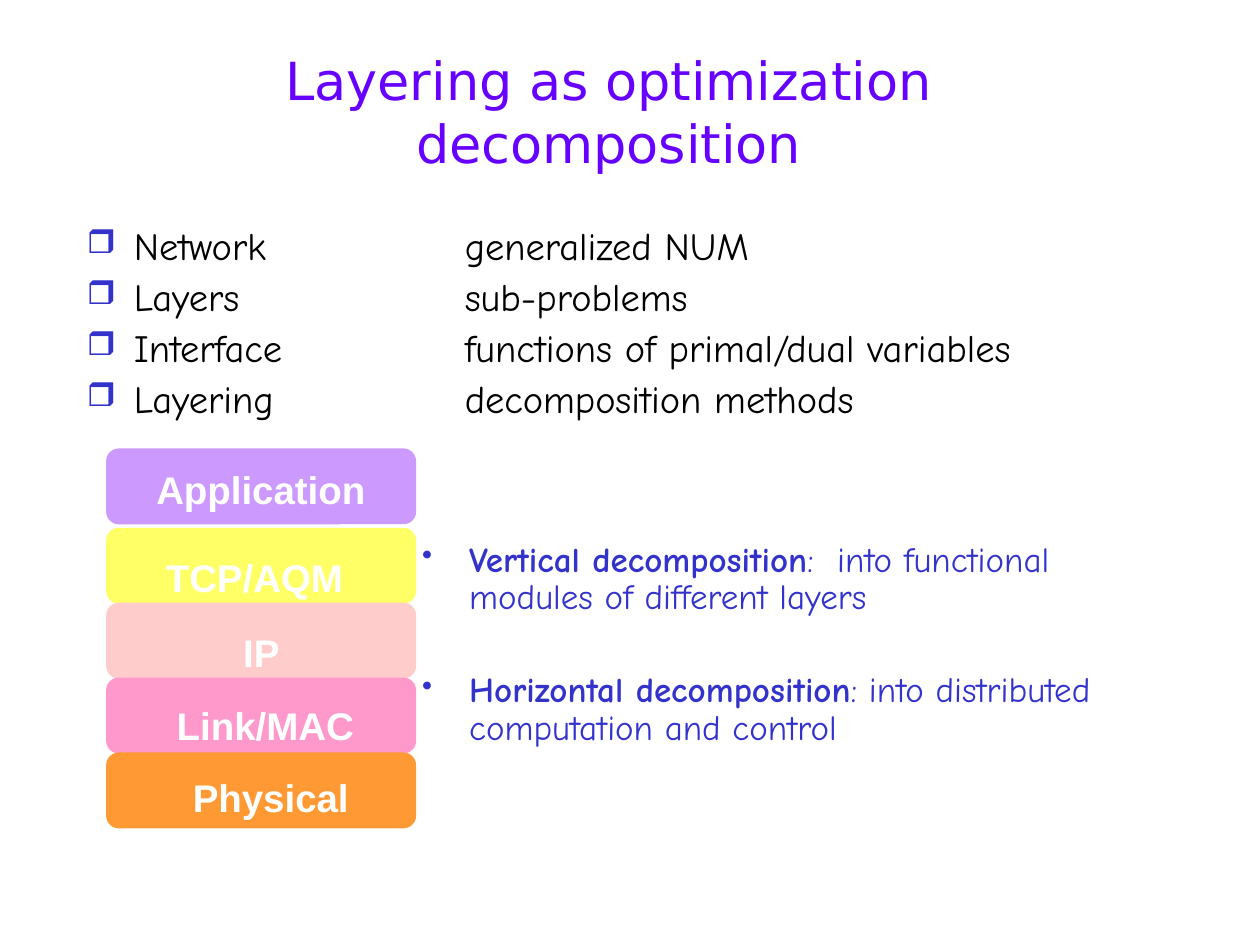
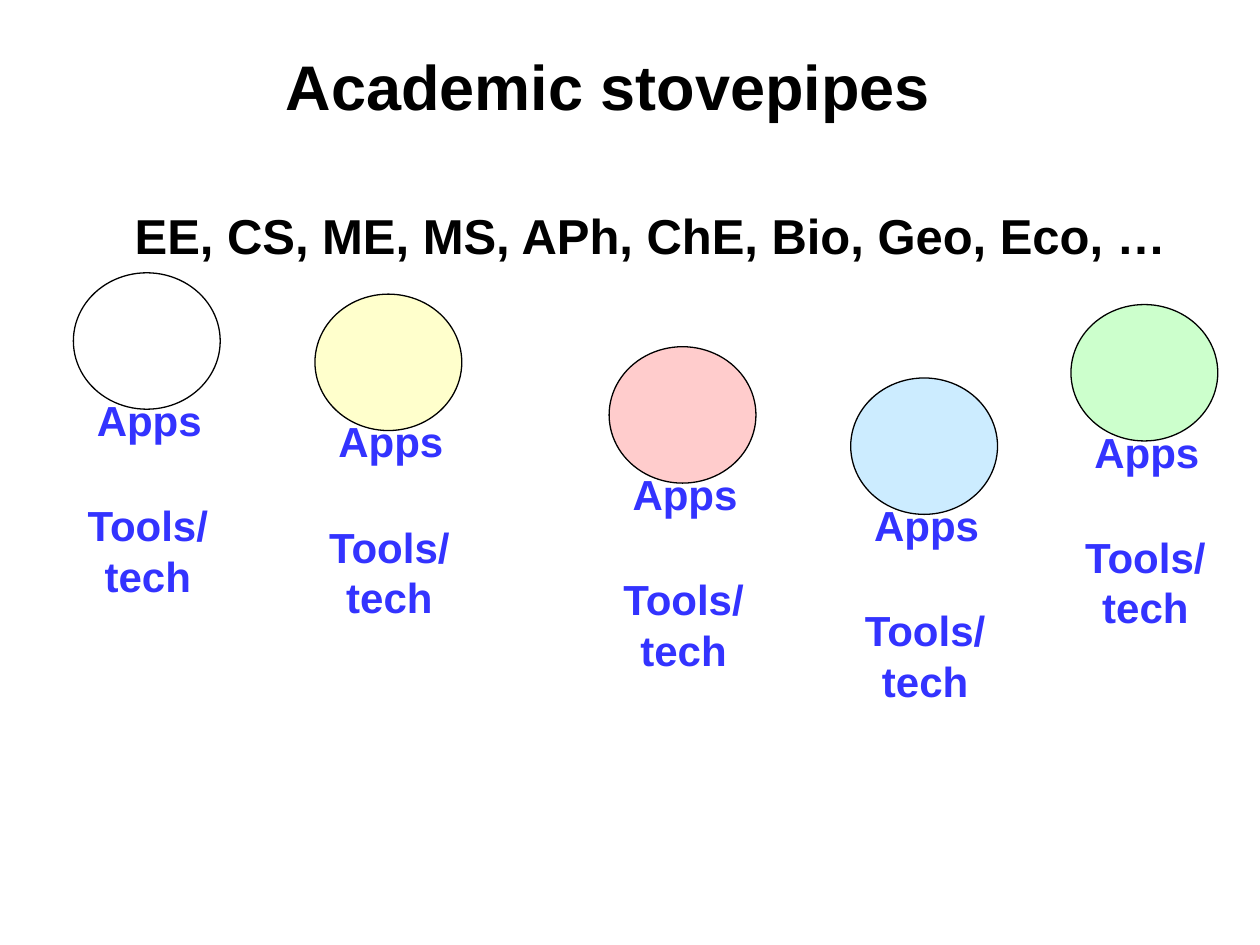
import pptx
import pptx.dml.color
import pptx.enum.shapes
import pptx.enum.text
import pptx.oxml.ns
import pptx.util
from lxml import etree
from pptx.util import Cm

COLORS = {
    "black": "000000", "white": "FFFFFF", "violet": "6600FF",
    "indigo": "3333CC", "blue": "3333FF", "lilac": "CC99FF",
    "yellow": "FFFF66", "rose": "FFCCCC", "pink": "FF99CC",
    "orange": "FF9933", "cream": "FFFFCC", "sky": "CCECFF", "mint": "CCFFCC",
}
HAND_FONT = "Comic Neue"
PLAIN_FONT = "Arial"
SHAPES = pptx.enum.shapes.MSO_SHAPE
ALIGN = pptx.enum.text.PP_ALIGN
ANCHOR = pptx.enum.text.MSO_ANCHOR

LINE_SPACING = 0.9
LAYER_LEFT, LAYER_WIDTH, LAYER_HEIGHT = 2.14, 6.25, 1.53
LOWER_LAYERS_TOP, LAYER_STEP = 10.64, 1.51
LABEL_WIDTH, LABEL_HEIGHT = 5.5, 1.19


def rgb(color):
    return pptx.dml.color.RGBColor.from_string(COLORS[color])


def style_span(span, font, size, color, bold):
    span.font.name = font
    span.font.size = pptx.util.Pt(size)
    span.font.color.rgb = rgb(color)
    span.font.bold = bold


def add_box(page, left, top, width, height, wrap=True):
    box = page.shapes.add_textbox(Cm(left), Cm(top), Cm(width), Cm(height))
    box.text_frame.word_wrap = wrap
    return box


def add_centred_text(page, text, left, top, width, height, size, color,
                     font=PLAIN_FONT, bold=True, wrap=False):
    box = add_box(page, left, top, width, height, wrap)
    box.text_frame.text = text
    for para in box.text_frame.paragraphs:
        para.alignment = ALIGN.CENTER
        for span in para.runs:
            style_span(span, font, size, color, bold)
    return box


def add_shape(page, kind, left, top, width, height, fill, line=None):
    shape = page.shapes.add_shape(kind, Cm(left), Cm(top), Cm(width), Cm(height))
    shape.shadow.inherit = False
    shape.fill.solid()
    shape.fill.fore_color.rgb = rgb(fill)
    if line:
        shape.line.color.rgb = rgb(line)
        shape.line.width = pptx.util.Pt(0.75)
    else:
        shape.line.fill.background()
    return shape


def add_child(parent, tag, **attributes):
    child = etree.SubElement(parent, pptx.oxml.ns.qn(tag))
    for name, value in attributes.items():
        child.set(name, str(value))
    return child


def format_bullet(para, symbol, space_before, tab_stop=None):
    """Give the paragraph a hanging bullet and, if wanted, one tab stop in cm."""
    para.line_spacing = LINE_SPACING
    para.space_before = pptx.util.Pt(space_before)
    properties = para._p.get_or_add_pPr()
    indent = Cm(0.95)
    properties.set("marL", str(indent))
    properties.set("indent", str(-indent))
    add_child(add_child(properties, "a:buClr"), "a:srgbClr", val=COLORS["indigo"])
    add_child(properties, "a:buSzPct", val=85000)
    add_child(properties, "a:buChar", char=symbol)
    if tab_stop:
        add_child(add_child(properties, "a:tabLst"), "a:tab",
                  pos=Cm(tab_stop), algn="l")


def add_correspondences(page, pairs):
    """List each network term with its optimization meaning in a second column."""
    frame = add_box(page, 1.5, 4.45, 21.59, 6).text_frame
    frame.text = "\n".join(f"{term}\t{meaning}" for term, meaning in pairs)
    for para in frame.paragraphs:
        format_bullet(para, "❒", 5.5, tab_stop=7.62)
        for span in para.runs:
            style_span(span, HAND_FONT, 22, "black", False)


def add_decompositions(page, entries):
    frame = add_box(page, 8.26, 10.8, 14.17, 4.85).text_frame
    for index, (name, explanation) in enumerate(entries):
        para = frame.add_paragraph() if index else frame.paragraphs[0]
        format_bullet(para, "•", 31.5 if index else 5)
        for text, bold in ((name, True), (explanation, False)):
            span = para.add_run()
            span.text = text
            style_span(span, HAND_FONT, 20, "indigo", bold)


def add_layer(page, name, top, fill, label_centre, label_top):
    add_shape(page, SHAPES.ROUNDED_RECTANGLE, LAYER_LEFT, top,
              LAYER_WIDTH, LAYER_HEIGHT, fill)
    add_centred_text(page, name, label_centre - LABEL_WIDTH / 2, label_top,
                     LABEL_WIDTH, LABEL_HEIGHT, 22, "white")


def add_stovepipe(page, left, top, fill):
    add_shape(page, SHAPES.OVAL, left, top, 2.96, 2.75, fill, line="black")
    add_centred_text(page, "Apps", left + 0.22, top + 2.33, 2.62, 1.27, 24, "blue")
    add_centred_text(page, "Tools/\ntech", left, top + 4.45, 3, 2.29, 24, "blue")


def build_layering(page):
    title = add_centred_text(page, "Layering as optimization decomposition",
                             1.48, 0.64, 21.59, 3.18, 30, "violet",
                             font="DejaVu Sans", bold=False, wrap=True)
    title.text_frame.vertical_anchor = ANCHOR.MIDDLE
    title.text_frame.margin_left = title.text_frame.margin_right = Cm(0.5)
    add_correspondences(page, [
        ("Network", "generalized NUM"),
        ("Layers", "sub-problems"),
        ("Interface", "functions of primal/dual variables"),
        ("Layering", "decomposition methods"),
    ])
    add_decompositions(page, [
        ("Vertical decomposition", ":  into functional modules of different layers"),
        ("Horizontal decomposition", ": into distributed computation and control"),
    ])
    add_layer(page, "Application", 9.04, "lilac", 5.26, 9.27)
    lower_layers = [
        ("TCP/AQM", "yellow", 5.13, 11.05),
        ("IP", "rose", 5.27, 12.55),
        ("Link/MAC", "pink", 5.35, 14.02),
        ("Physical", "orange", 5.46, 15.47),
    ]
    for index, (name, fill, label_centre, label_top) in enumerate(lower_layers):
        add_layer(page, name, LOWER_LAYERS_TOP + index * LAYER_STEP,
                  fill, label_centre, label_top)


def build_stovepipes(page):
    for left, top, fill in [
        (1.48, 5.5, "white"),
        (6.35, 5.93, "cream"),
        (12.28, 6.99, "rose"),
        (17.15, 7.62, "sky"),
        (21.59, 6.14, "mint"),
    ]:
        add_stovepipe(page, left, top, fill)
    add_centred_text(page, "EE, CS, ME, MS, APh, ChE, Bio, Geo, Eco, …",
                     2.11, 4.02, 22, 1.45, 28, "black", wrap=True)
    add_centred_text(page, "Academic stovepipes", 5.51, 0.84, 13.49, 1.78,
                     36, "black")


def main():
    deck = pptx.Presentation()
    deck.slide_width, deck.slide_height = Cm(25.4), Cm(19.05)
    for build in (build_layering, build_stovepipes):
        build(deck.slides.add_slide(deck.slide_layouts[6]))
    deck.save("out.pptx")


if __name__ == "__main__":
    main()
